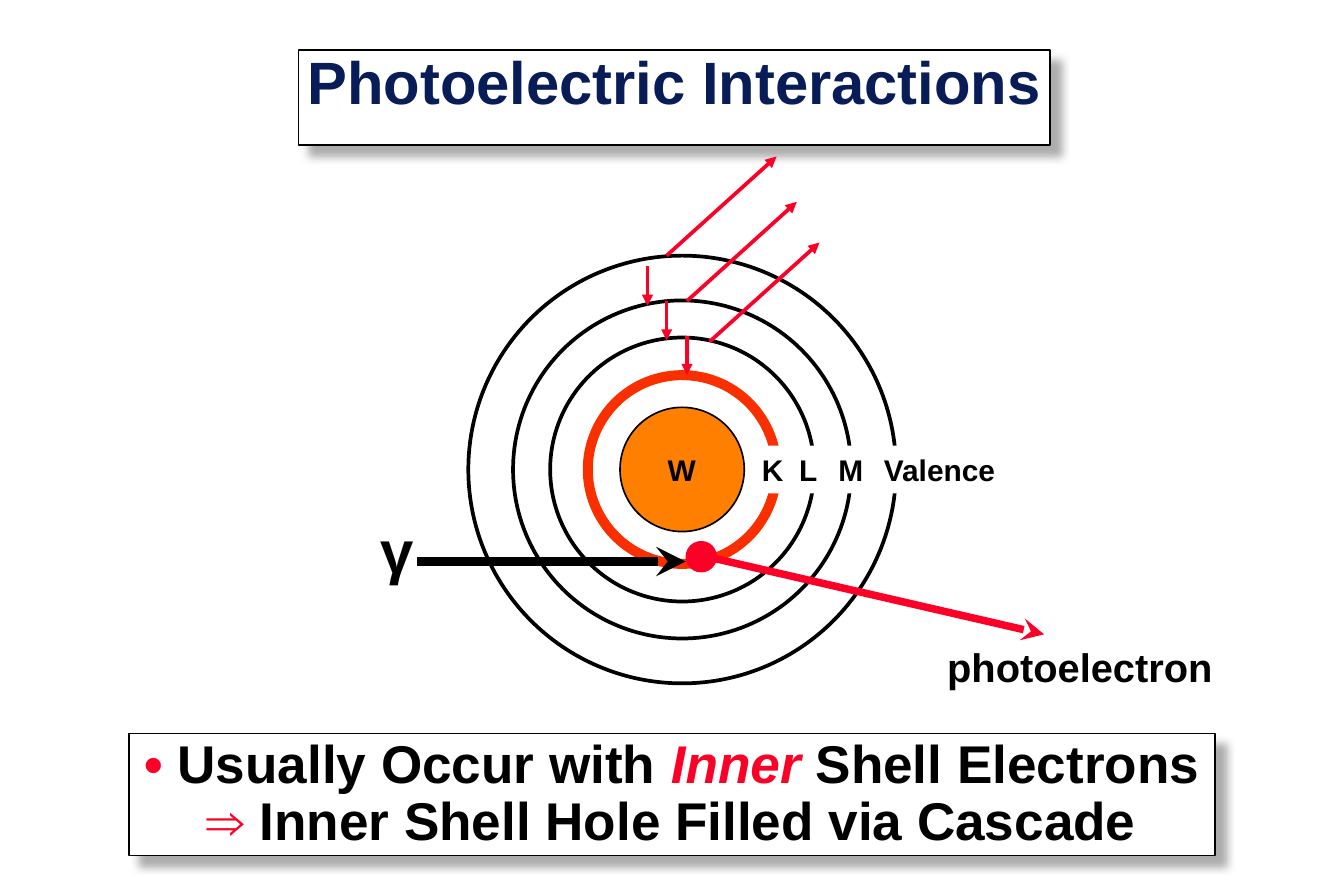
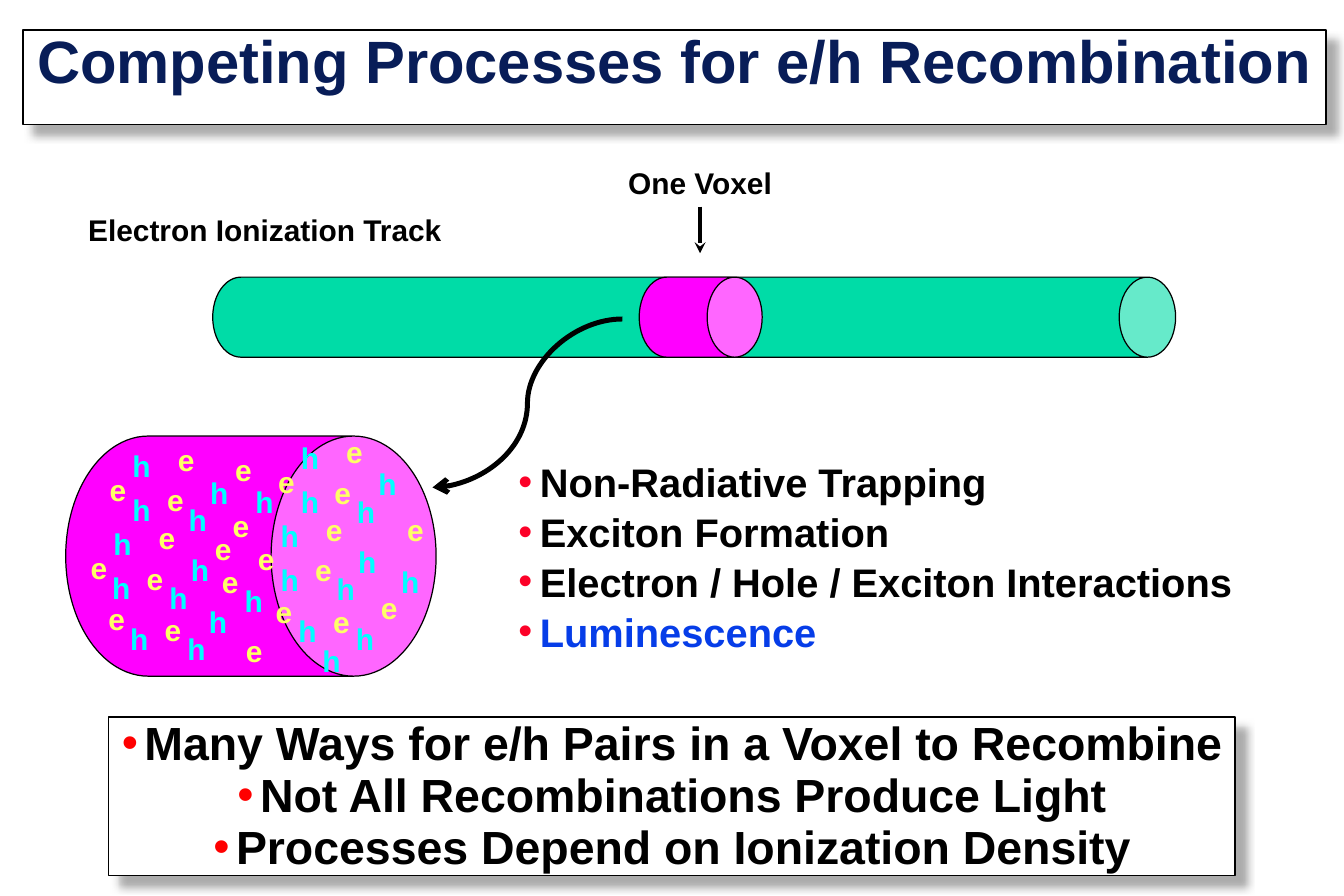
from dataclasses import dataclass
from typing import NamedTuple, Optional

from lxml import etree
from pptx import Presentation
from pptx import util as u
from pptx.dml.color import RGBColor
from pptx.enum import shapes, text
from pptx.oxml import ns

PX = 9144
SHAPE = shapes.MSO_SHAPE
ALIGN = text.PP_ALIGN


@dataclass(frozen=True)
class Theme:
    font: str = "Arial"
    white: str = "FFFFFF"
    black: str = "000000"
    navy: str = "081D58"
    red: str = "FC0128"
    bullet_red: str = "FF0000"
    orange: str = "FF8000"
    k_shell: str = "F92F00"
    green: str = "00DCA7"
    magenta: str = "FF00FF"
    blue: str = "063DE8"
    cyan: str = "00FFFF"
    yellow: str = "FFFF66"
    shadow: str = "919191"
    title: int = 36
    conclusion: int = 32
    summary: int = 28
    body: int = 24
    label: int = 18


T = Theme()


class Box(NamedTuple):
    x: int
    y: int
    w: int
    h: int

    def emu(self) -> list[int]:
        return [px(v) for v in self]


class Point(NamedTuple):
    x: int
    y: int


class Run(NamedTuple):
    text: str
    color: str = T.black
    italic: bool = False


class Label(NamedTuple):
    text: str
    box: Box
    size: int = T.label
    color: str = T.black


class Ring(NamedTuple):
    diameter: int
    color: str
    width: float
    fill: Optional[str] = None


class Arrow(NamedTuple):
    start: Point
    end: Point
    color: str
    width: float
    head: str


class Can(NamedTuple):
    box: Box
    fill: str
    adj: float


class Style(NamedTuple):
    size: int
    align: ALIGN = ALIGN.LEFT
    spacing: float = 1.0
    before: float = 0
    indent: int = 0
    bullet: Optional[str] = None
    level: int = 0


def px(v: float) -> int:
    return round(v * PX)


def rgb(color: str) -> RGBColor:
    return RGBColor.from_string(color)


def sub(parent, tag: str, **attrs):
    return etree.SubElement(parent, ns.qn(tag), {k: str(v) for k, v in attrs.items()})


def paint(sp, fill: Optional[str], line: Optional[str] = None, width: float = 1) -> None:
    if fill:
        sp.fill.solid()
        sp.fill.fore_color.rgb = rgb(fill)
    else:
        sp.fill.background()
    if line:
        sp.line.color.rgb = rgb(line)
        sp.line.width = u.Pt(width)
    else:
        sp.line.fill.background()


def write(sp, paragraphs: list[list[Run]], style: Style) -> None:
    tf = sp.text_frame
    tf.word_wrap = False
    tf.auto_size = text.MSO_AUTO_SIZE.SHAPE_TO_FIT_TEXT
    tf.vertical_anchor = text.MSO_ANCHOR.TOP
    for i, runs in enumerate(paragraphs):
        p = tf.add_paragraph() if i else tf.paragraphs[0]
        p.alignment, p.level = style.align, style.level
        p.line_spacing, p.space_before = style.spacing, u.Pt(style.before)
        pPr = p._p.get_or_add_pPr()
        pPr.set("marL", str(px(style.indent)))
        pPr.set("indent", str(-px(style.indent)))
        if style.bullet:
            sub(sub(pPr, "a:buClr"), "a:srgbClr", val=style.bullet)
            sub(pPr, "a:buFont", typeface=T.font)
            sub(pPr, "a:buChar", char="•")
        p.font.name, p.font.size, p.font.bold = T.font, u.Pt(style.size), True
        same_color = len({run.color for run in runs}) == 1
        if same_color:
            p.font.color.rgb = rgb(runs[0].color)
        for run in runs:
            r = p.add_run()
            r.text = run.text
            if not same_color:
                r.font.color.rgb = rgb(run.color)
            if run.italic:
                r.font.italic = True


def frame(sp) -> None:
    paint(sp, T.white, T.black)
    tf = sp.text_frame
    tf.margin_left = tf.margin_right = px(7)
    tf.margin_top = tf.margin_bottom = px(3)
    effects = sub(sp._element.spPr, "a:effectLst")
    shadow = sub(effects, "a:outerShdw", blurRad=u.Pt(5), dist=u.Pt(8.5),
                 dir=45 * 60000, algn="ctr", rotWithShape=0)
    sub(sub(shadow, "a:srgbClr", val=T.shadow), "a:alpha", val=75000)


def new_slide(prs, title: str, box: Box):
    s = prs.slides.add_slide(prs.slide_layouts[5])
    sp = s.shapes.title
    sp.left, sp.top, sp.width, sp.height = box.emu()
    frame(sp)
    write(sp, [[Run(title, T.navy)]], Style(T.title, ALIGN.CENTER, 0.88))
    return s


def add_panel(s, box: Box, paragraphs: list[list[Run]], style: Style) -> None:
    sp = s.shapes.add_shape(SHAPE.RECTANGLE, *box.emu())
    frame(sp)
    write(sp, paragraphs, style)


def add_label(s, label: Label, fill: Optional[str] = None, align: ALIGN = ALIGN.LEFT):
    sp = s.shapes.add_textbox(*label.box.emu())
    paint(sp, fill)
    write(sp, [[Run(label.text, label.color)]], Style(label.size, align))
    return sp


def add_ring(s, center: Point, ring: Ring) -> None:
    d = ring.diameter
    sp = s.shapes.add_shape(SHAPE.OVAL, px(center.x - d / 2), px(center.y - d / 2), px(d), px(d))
    sp.shadow.inherit = False
    paint(sp, ring.fill, ring.color, ring.width)


def add_arrow(s, arrow: Arrow, kind=shapes.MSO_CONNECTOR.STRAIGHT):
    cx = s.shapes.add_connector(kind, *map(px, arrow.start + arrow.end))
    cx.line.color.rgb = rgb(arrow.color)
    cx.line.width = u.Pt(arrow.width)
    sub(cx.line._get_or_add_ln(), "a:tailEnd", type=arrow.head)
    sub(cx._element.spPr, "a:effectLst")
    return cx


def add_can(s, can: Can) -> None:
    x, y, w, h = can.box
    turn = (w - h) / 2
    sp = s.shapes.add_shape(SHAPE.CAN, px(x + turn), px(y - turn), px(h), px(w))
    sp.rotation = 90
    sp.adjustments[0] = can.adj
    sp.shadow.inherit = False
    paint(sp, can.fill, T.black, 0.75)


def photoelectric(prs) -> None:
    s = new_slide(prs, "Photoelectric Interactions", Box(250, 42, 629, 60))
    add_panel(s, Box(108, 614, 909, 102), [
        [Run("•", T.red), Run(" Usually Occur with "), Run("Inner", T.red, True),
         Run(" Shell Electrons ")],
        [Run("⇒", T.red), Run(" Inner Shell Hole Filled via Cascade")],
    ], Style(T.conclusion, ALIGN.CENTER, 0.9, 0, 25))

    nucleus = Point(571, 393)
    for ring in (Ring(104, T.black, 1, T.orange), Ring(158, T.k_shell, 6),
                 *(Ring(d, T.black, 2.25) for d in (221, 283, 358))):
        add_ring(s, nucleus, ring)
    for name, x, w in (("K", 628, 38), ("L", 659, 35), ("M", 692, 41), ("Valence", 730, 115)):
        add_label(s, Label(name, Box(x, 373, w, 40)), T.white)
    add_label(s, Label("W", Box(549, 373, 44, 40)))

    add_ring(s, Point(587, 466), Ring(25, T.red, 1, T.red))
    add_arrow(s, Arrow(Point(349, 470), Point(574, 470), T.black, 6, "stealth"))
    add_label(s, Label("γ", Box(309, 425, 41, 70), T.title))
    for x, y in ((575, 281), (558, 252), (542, 223)):
        add_arrow(s, Arrow(Point(x, y), Point(x, y + 33), T.red, 2.25, "triangle"))
    for x, y in ((594, 286), (575, 252), (558, 214)):
        add_arrow(s, Arrow(Point(x, y), Point(x + 92, y - 83), T.red, 2.25, "triangle"))
    add_arrow(s, Arrow(Point(583, 464), Point(874, 531), T.red, 4.5, "stealth"))
    add_label(s, Label("photoelectron", Box(783, 533, 242, 50), T.body))


ELECTRONS = (
    (176, 467), (82, 390), (139, 365), (130, 398), (187, 373), (223, 383), (280, 358),
    (270, 392), (66, 455), (123, 430), (113, 464), (170, 439), (206, 448), (263, 423),
    (254, 457), (185, 420), (81, 498), (128, 507), (221, 492), (269, 500), (196, 525),
    (309, 489), (331, 423),
)
HOLES = (
    (225, 428), (101, 407), (101, 370), (148, 415), (166, 392), (242, 400), (242, 363),
    (289, 408), (307, 385), (84, 472), (85, 435), (132, 480), (150, 457), (225, 465),
    (272, 473), (290, 450), (204, 400), (99, 515), (147, 523), (165, 500), (240, 508),
    (288, 515), (260, 533), (195, 483), (326, 467),
)


def recombination(prs) -> None:
    s = new_slide(prs, "Competing Processes for e/h Recombination", Box(19, 25, 1091, 60))
    add_panel(s, Box(91, 600, 943, 133), [
        [Run("Many Ways for e/h Pairs in a Voxel to Recombine")],
        [Run("Not All Recombinations Produce Light")],
        [Run("Processes Depend on Ionization Density")],
    ], Style(T.summary, ALIGN.CENTER, 0.9, 1.2, 19, T.bullet_red))

    add_can(s, Can(Box(178, 232, 806, 67), T.green, 0.705))
    add_label(s, Label("Electron Ionization Track", Box(64, 172, 320, 40)))
    add_can(s, Can(Box(535, 232, 103, 67), T.magenta, 0.688))
    voxel = add_label(s, Label("One Voxel", Box(515, 133, 142, 40)), align=ALIGN.CENTER)
    pointer = add_arrow(s, Arrow(Point(586, 173), Point(586, 212), T.black, 2.25, "stealth"))
    pointer.begin_connect(voxel, 2)

    processes = s.shapes.add_textbox(*Box(424, 378, 622, 172).emu())
    write(processes, [
        [Run("Non-Radiative Trapping")],
        [Run("Exciton Formation")],
        [Run("Electron / Hole / Exciton Interactions")],
        [Run("Luminescence", T.blue)],
    ], Style(T.body, before=1.3, indent=18, bullet=T.red, level=1))

    add_can(s, Can(Box(55, 365, 310, 201), T.magenta, 0.687))
    for name, w, color, places in (("e", 34, T.yellow, ELECTRONS), ("h", 36, T.cyan, HOLES)):
        for x, y in places:
            add_label(s, Label(name, Box(x, y, w, 40), color=color))
    add_arrow(s, Arrow(Point(521, 267), Point(362, 408), T.black, 3, "arrow"),
              shapes.MSO_CONNECTOR.CURVE)


def main() -> None:
    prs = Presentation()
    prs.slide_width, prs.slide_height = px(1125), px(750)
    photoelectric(prs)
    recombination(prs)
    prs.save("out.pptx")


if __name__ == "__main__":
    main()
